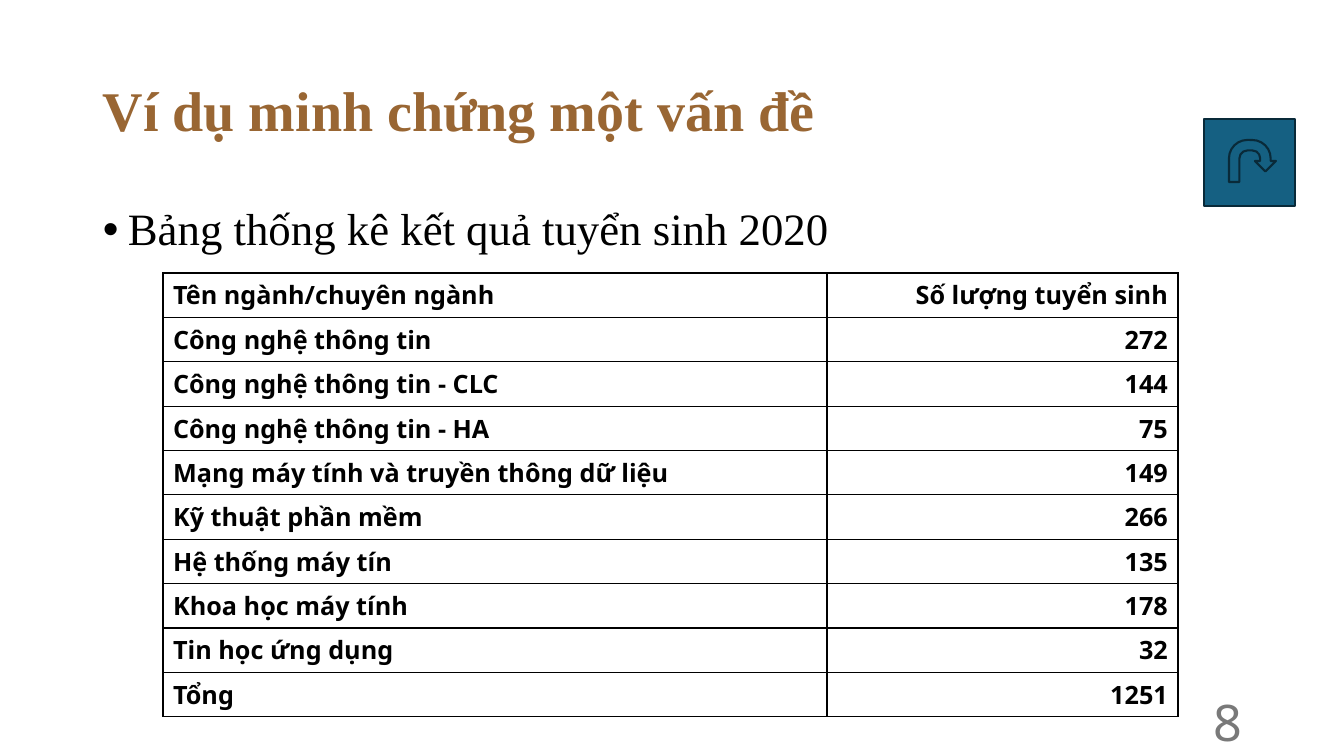
from lxml import etree
from pptx import Presentation
from pptx.dml.color import RGBColor
from pptx.enum.shapes import MSO_SHAPE as SHAPE
from pptx.enum.text import MSO_ANCHOR as ANCHOR, PP_ALIGN as ALIGN
from pptx.oxml import parse_xml
from pptx.oxml.ns import nsdecls, qn
from pptx.util import Emu, Pt

# Content
TITLE = "Ví dụ minh chứng một vấn đề"
BULLET = "Bảng thống kê kết quả tuyển sinh 2020"
PAGE = "8"
ROWS = [
    ("Tên ngành/chuyên ngành", "Số lượng tuyển sinh"),
    ("Công nghệ thông tin", "272"),
    ("Công nghệ thông tin - CLC", "144"),
    ("Công nghệ thông tin - HA", "75"),
    ("Mạng máy tính và truyền thông dữ liệu", "149"),
    ("Kỹ thuật phần mềm", "266"),
    ("Hệ thống máy tín", "135"),
    ("Khoa học máy tính", "178"),
    ("Tin học ứng dụng", "32"),
    ("Tổng", "1251"),
]
COL_WIDTHS = (664, 351)
COL_ALIGNS = (ALIGN.LEFT, ALIGN.RIGHT)
TABLE_LEFT, TABLE_TOP, TABLE_HEIGHT = 163, 273, 444
BUTTON = [  # shape, left, top, width, height
    (SHAPE.RECTANGLE, 1204, 119, 91, 87),
    (SHAPE.U_TURN_ARROW, 1229, 140, 47, 42),
]
SERIF, SANS = "Times New Roman", "Noto Sans"


def px(n):
    return Emu(round(n * 914400 / 100.8))


def rgb(color):
    return RGBColor.from_string(color)


def add_run(p, text, size, font, color, bold=False):
    r = p.add_run()
    r.text = text
    r.font.size = Pt(size)
    r.font.name = font
    r.font.bold = bold
    r.font.color.rgb = rgb(color)


def add_text(box, text, size, font, color, bold=False, anchor=ANCHOR.MIDDLE):
    tf = s.shapes.add_textbox(*map(px, box)).text_frame
    tf.word_wrap = True
    tf.vertical_anchor = anchor
    p = tf.paragraphs[0]
    add_run(p, text, size, font, color, bold)
    return p


def add_borders(cell, color, width):
    tcPr = cell._tc.get_or_add_tcPr()
    for i, side in enumerate(("lnL", "lnR", "lnT", "lnB")):
        tcPr.insert(i, parse_xml(
            f'<a:{side} {nsdecls("a")} w="{Pt(width)}"><a:solidFill>'
            f'<a:srgbClr val="{color}"/></a:solidFill></a:{side}>'))


prs = Presentation()
prs.slide_width, prs.slide_height = px(1344), px(756)
s = prs.slides.add_slide(prs.slide_layouts[6])

# Title
p = add_text((93, 40, 1159, 146), TITLE, 40, SERIF, "996633", bold=True)
p.line_spacing = 0.9

# Bullet line
p = add_text((93, 202, 1159, 480), BULLET, 32, SERIF, "000000", anchor=ANCHOR.TOP)
p.line_spacing = 0.9
p.space_before = Pt(10)
pPr = p._p.get_or_add_pPr()
pPr.set("marL", str(px(25)))
pPr.set("indent", str(-px(25)))
etree.SubElement(pPr, qn("a:buFont"), typeface="Arial")
etree.SubElement(pPr, qn("a:buChar"), char="•")

# Enrolment table
table = s.shapes.add_table(
    len(ROWS), len(COL_WIDTHS), px(TABLE_LEFT), px(TABLE_TOP),
    px(sum(COL_WIDTHS)), px(TABLE_HEIGHT)).table
table.first_row = table.horz_banding = False
for column, width in zip(table.columns, COL_WIDTHS):
    column.width = px(width)
for i, row in enumerate(ROWS):
    table.rows[i].height = px(TABLE_HEIGHT / len(ROWS))
    for j, text in enumerate(row):
        cell = table.cell(i, j)
        cell.fill.solid()
        cell.fill.fore_color.rgb = rgb("FFFFFF")
        add_borders(cell, "000000", 1)
        p = cell.text_frame.paragraphs[0]
        p.alignment = COL_ALIGNS[j]
        add_run(p, text, 18, SANS, "000000", bold=True)

# Page number
p = add_text((950, 701, 302, 40), PAGE, 36, SANS, "797979")
p.alignment = ALIGN.RIGHT

# Return button
for kind, *box in BUTTON:
    sp = s.shapes.add_shape(kind, *map(px, box))
    sp.shadow.inherit = False
    sp.fill.solid()
    sp.fill.fore_color.rgb = rgb("156082")
    sp.line.color.rgb = rgb("092A39")
    sp.line.width = Pt(1.5)

prs.save("out.pptx")
